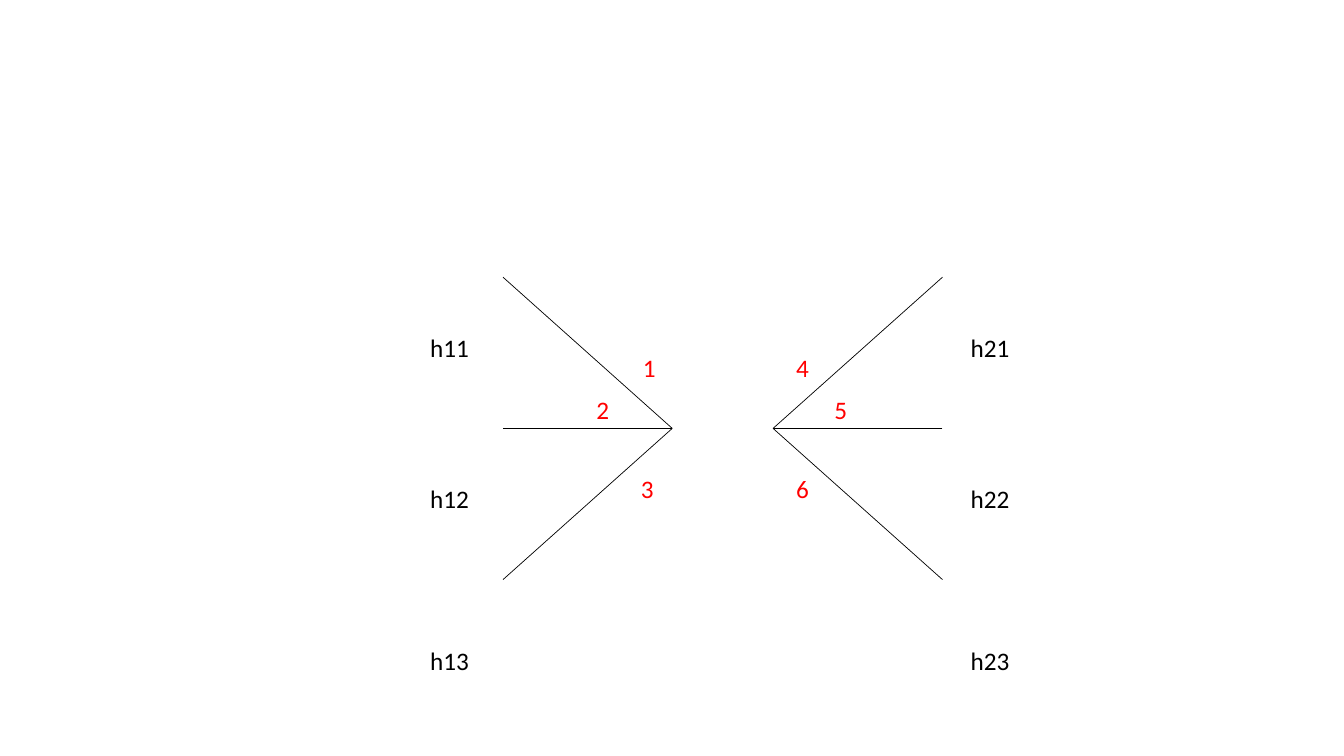
from pptx import Presentation
from pptx.dml.color import RGBColor
from pptx.enum.shapes import MSO_CONNECTOR
from pptx.enum.text import MSO_AUTO_SIZE
from pptx.oxml.ns import qn
from pptx.util import Pt

COLORS = {"ink": "000000", "number": "FF0000"}
LABEL_WIDTH, NUMBER_WIDTH = 44.6, 23.8
HUB_Y = 306
BRANCH_TOPS = [198, 306, 414]
HOST_TOPS = [234, 342, 457.2]


def add_label(text, left, top, width, color, wrap):
    box = page.shapes.add_textbox(Pt(left), Pt(top), Pt(width), Pt(29))
    frame = box.text_frame
    frame.word_wrap = wrap
    frame.auto_size = MSO_AUTO_SIZE.SHAPE_TO_FIT_TEXT
    frame.text = text
    font = frame.paragraphs[0].runs[0].font
    font.name = "Calibri"
    font.size = Pt(18)
    font.color.rgb = RGBColor.from_string(COLORS[color])


deck = Presentation()
deck.slide_width, deck.slide_height = Pt(960), Pt(540)
page = deck.slides.add_slide(deck.slide_layouts[6])

# Each side: outer end of the branches, hub, left edge of the host labels
sides = [(359.3, 480.2, 300.2), (673.2, 552.2, 686.2)]
for side, (outer_x, hub_x, host_left) in enumerate(sides, start=1):
    for branch_y in BRANCH_TOPS:
        branch = page.shapes.add_connector(
            MSO_CONNECTOR.STRAIGHT, Pt(outer_x), Pt(branch_y), Pt(hub_x), Pt(HUB_Y))
        branch.line.color.rgb = RGBColor.from_string(COLORS["ink"])
        branch.line.width = Pt(0.5)
        properties = branch._element.spPr
        properties.append(properties.makeelement(qn("a:effectLst"), {}))
    for host, top in enumerate(HOST_TOPS, start=1):
        add_label(f"h{side}{host}", host_left, top, LABEL_WIDTH, "ink", True)

number_places = [(452.2, 248.4), (419, 277.9), (450.7, 334.4),
                 (561.6, 248.4), (589, 277.9), (561.6, 334.4)]
for number, (left, top) in enumerate(number_places, start=1):
    add_label(str(number), left, top, NUMBER_WIDTH, "number", False)

deck.save("out.pptx")
